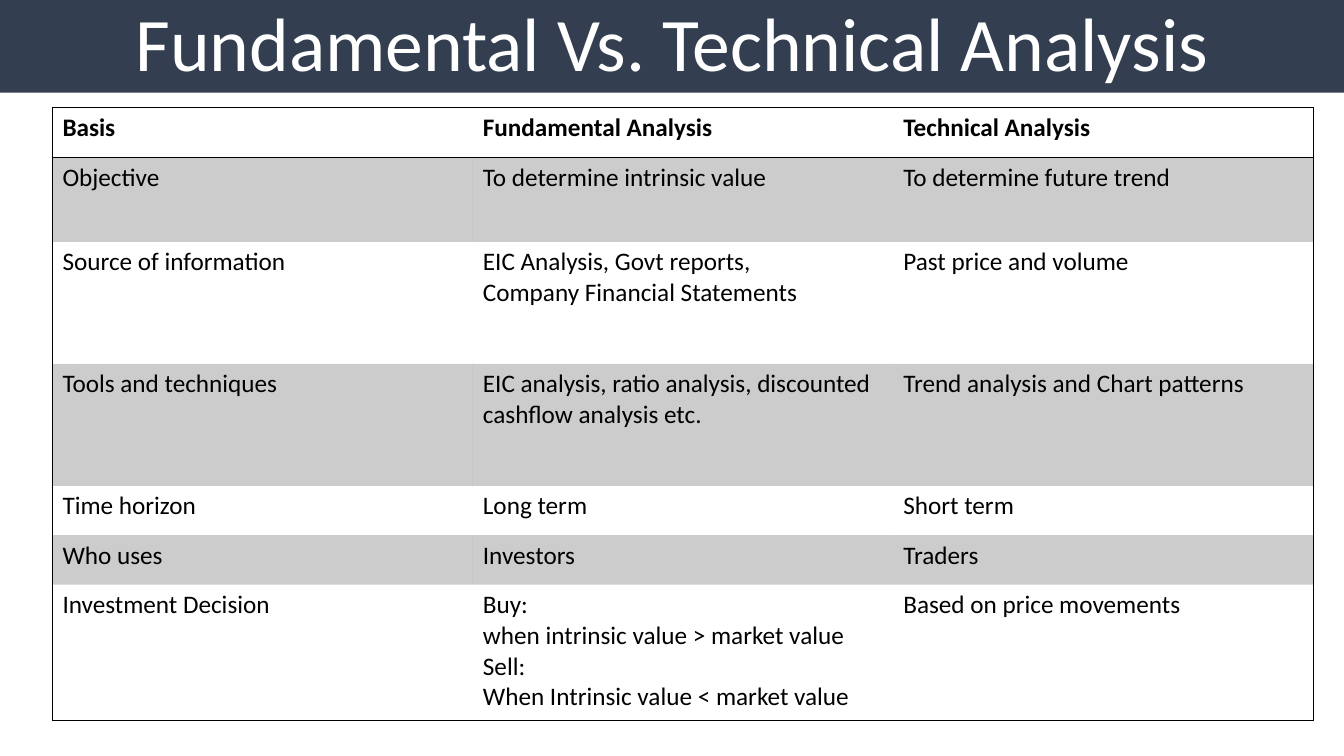
from dataclasses import dataclass

from lxml.etree import SubElement
from pptx import Presentation
from pptx.dml.color import RGBColor
from pptx.enum.text import MSO_ANCHOR, MSO_AUTO_SIZE, PP_ALIGN
from pptx.oxml.ns import qn
from pptx.util import Inches, Pt


@dataclass(frozen=True)
class Theme:
    font: str = "Calibri"
    banner: str = "333F50"
    banner_text: str = "FFFFFF"
    ink: str = "000000"
    band_opacity: int = 20
    title_size: int = 54
    cell_size: int = 18
    border_width: int = 1


THEME = Theme()
TITLE = "Fundamental Vs. Technical Analysis"
COLUMN_WIDTH = 4.17
ROW_HEIGHTS = [0.49, 0.84, 1.21, 1.21, 0.49, 0.49, 1.35]
COMPARISON = [
    ("Basis", "Fundamental Analysis", "Technical Analysis"),
    ("Objective", "To determine intrinsic value", "To determine future trend"),
    ("Source of information",
     "EIC Analysis, Govt reports,\nCompany Financial Statements",
     "Past price and volume"),
    ("Tools and techniques",
     "EIC analysis, ratio analysis, discounted cashflow analysis etc.",
     "Trend analysis and Chart patterns"),
    ("Time horizon", "Long term", "Short term"),
    ("Who uses", "Investors", "Traders"),
    ("Investment Decision",
     "Buy:\nwhen intrinsic value > market value\n"
     "Sell:\nWhen Intrinsic value < market value",
     "Based on price movements"),
]


def format_text(frame, size, color, bold=False):
    for para in frame.paragraphs:
        for span in para.runs:
            span.font.name = THEME.font
            span.font.size = Pt(size)
            span.font.bold = bold
            span.font.color.rgb = RGBColor.from_string(color)


def add_banner_title(page):
    title = page.shapes.title
    title.left = title.top = Inches(0)
    title.width, title.height = Inches(13.33), Inches(0.92)
    title.fill.solid()
    title.fill.fore_color.rgb = RGBColor.from_string(THEME.banner)
    frame = title.text_frame
    frame.text = TITLE
    frame.word_wrap = True
    frame.auto_size = MSO_AUTO_SIZE.NONE
    frame.vertical_anchor = MSO_ANCHOR.BOTTOM
    frame.paragraphs[0].alignment = PP_ALIGN.CENTER
    frame.paragraphs[0].line_spacing = 0.9
    format_text(frame, THEME.title_size, THEME.banner_text)


def set_borders(cell, visible):
    """Draw the sides listed in visible (L, R, T, B) and hide the others."""
    properties = cell._tc.get_or_add_tcPr()
    for side in "LRTB":
        line = SubElement(properties, qn(f"a:ln{side}"),
                          w=str(Pt(THEME.border_width)))
        if side in visible:
            fill = SubElement(line, qn("a:solidFill"))
            SubElement(fill, qn("a:srgbClr"), val=THEME.ink)
        else:
            SubElement(line, qn("a:noFill"))


def fill_cell(cell, banded):
    if not banded:
        cell.fill.background()
        return
    cell.fill.solid()
    cell.fill.fore_color.rgb = RGBColor.from_string(THEME.ink)
    color = cell._tc.tcPr.find(f"{qn('a:solidFill')}/{qn('a:srgbClr')}")
    SubElement(color, qn("a:alpha"), val=str(THEME.band_opacity * 1000))


def outer_sides(row, column, last_row, last_column):
    """Frame the table and rule off its header."""
    sides = {
        "L": column == 0,
        "R": column == last_column,
        "T": row in (0, 1),
        "B": row in (0, last_row),
    }
    return [side for side, drawn in sides.items() if drawn]


def add_comparison_table(page):
    row_count, column_count = len(COMPARISON), len(COMPARISON[0])
    table = page.shapes.add_table(
        row_count, column_count, Inches(0.52), Inches(1.07),
        Inches(COLUMN_WIDTH * column_count), Inches(sum(ROW_HEIGHTS))).table
    table.first_row = table.horz_banding = False
    for column in table.columns:
        column.width = Inches(COLUMN_WIDTH)
    for row, height in zip(table.rows, ROW_HEIGHTS):
        row.height = Inches(height)
    for row, texts in enumerate(COMPARISON):
        for column, text in enumerate(texts):
            cell = table.cell(row, column)
            cell.text_frame.text = text
            format_text(cell.text_frame, THEME.cell_size, THEME.ink, bold=row == 0)
            set_borders(cell, outer_sides(row, column, row_count - 1, column_count - 1))
            fill_cell(cell, banded=row % 2 == 1)


def main():
    deck = Presentation()
    deck.slide_width, deck.slide_height = Inches(13.33), Inches(7.5)
    title_only = deck.slide_layouts[5]
    page = deck.slides.add_slide(title_only)
    add_banner_title(page)
    add_comparison_table(page)
    deck.save("out.pptx")


if __name__ == "__main__":
    main()
